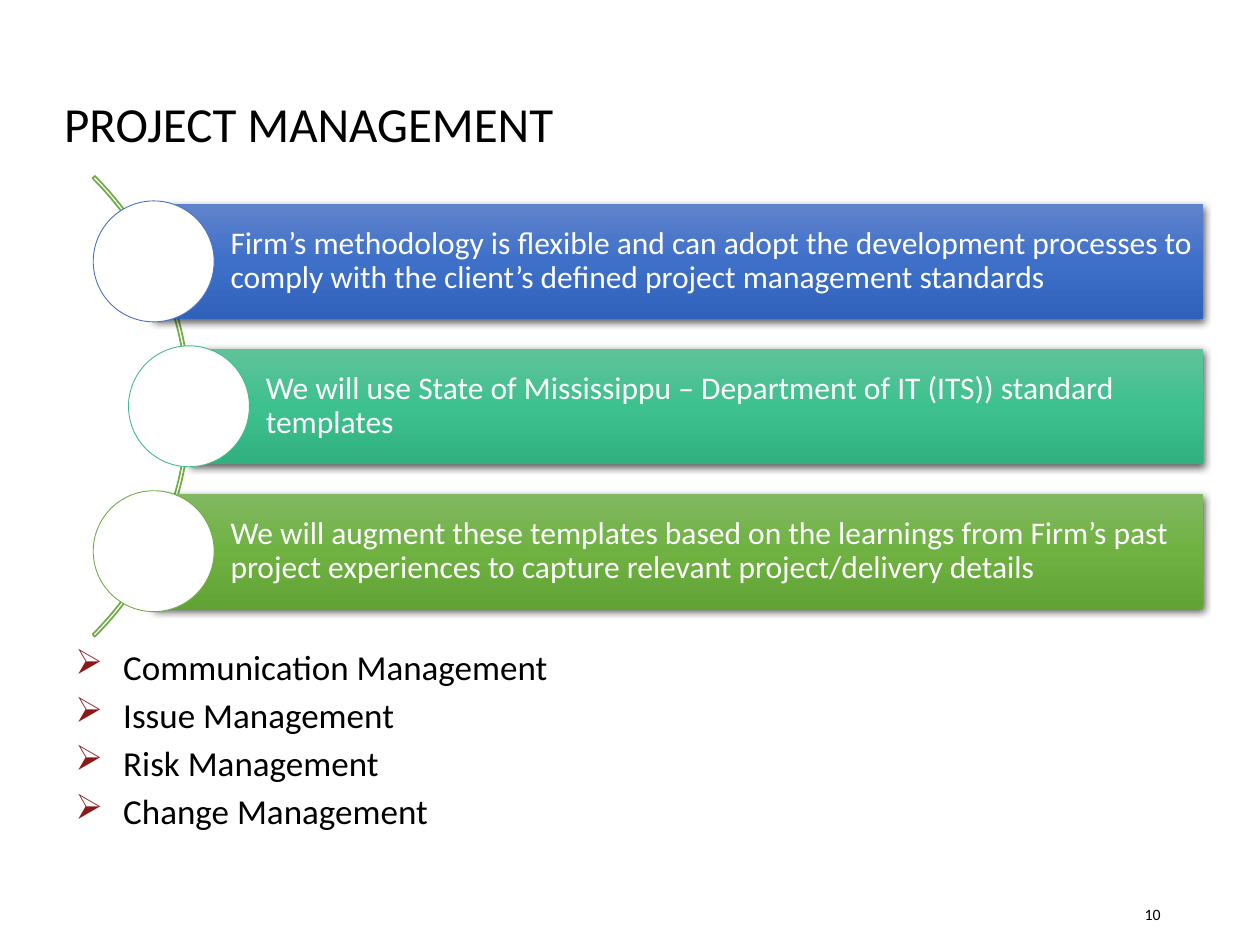
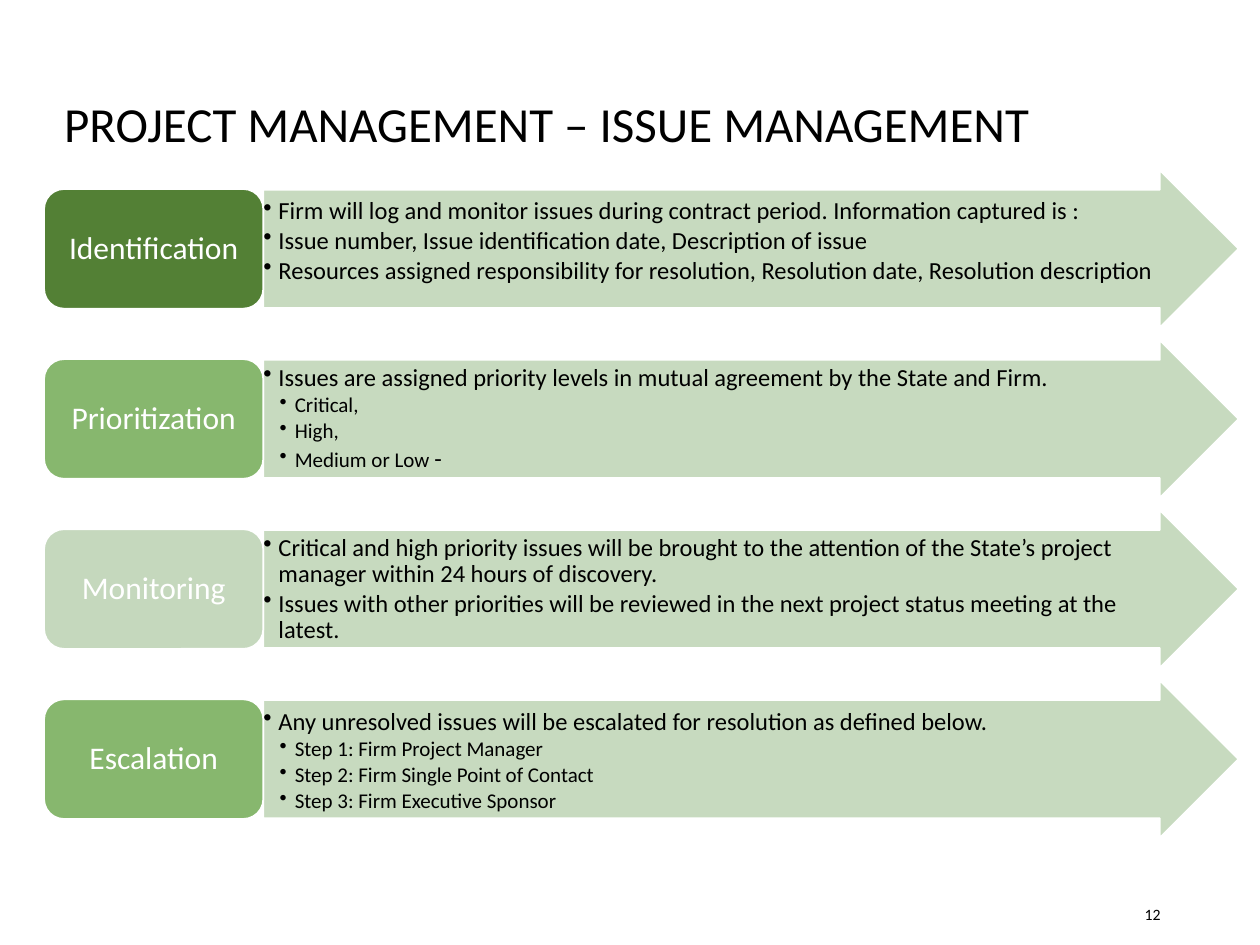
from copy import deepcopy
from dataclasses import dataclass

from lxml.etree import SubElement
from pptx import Presentation
from pptx.dml.color import RGBColor
from pptx.enum.shapes import MSO_SHAPE
from pptx.enum.text import MSO_ANCHOR, MSO_AUTO_SIZE, PP_ALIGN
from pptx.oxml.ns import qn
from pptx.util import Inches, Pt

# Content

OVERVIEW = {
    "title": "PROJECT MANAGEMENT",
    "page": "10",
    # text, gradient from top to bottom, circle outline, indent
    "banners": [
        ("Firm’s methodology is flexible and can adopt the development processes to "
         "comply with the client’s defined project management standards",
         ("6183CB", "3E70CA", "3062BB"), "4472C4", 0),
        ("We will use State of Mississippu – Department of IT (ITS)) standard templates",
         ("60C39A", "3DC18F", "31B080"), "43BB8D", 0.28),
        ("We will augment these templates based on the learnings from Firm’s past "
         "project experiences to capture relevant project/delivery details",
         ("81B861", "6FB242", "62A336"), "70AD47", 0),
    ],
    "areas": ["Communication Management", "Issue Management",
              "Risk Management", "Change Management"],
}

ISSUES = {
    "title": "PROJECT MANAGEMENT – ISSUE MANAGEMENT",
    "page": "12",
    # stage, box colour, top inset, main points, sub-points, larger ending
    "stages": [
        ("Identification", "538035", 0.07,
         ["Firm will log and monitor issues during contract period. Information captured is :",
          "Issue number, Issue identification date, Description of issue",
          "Resources assigned responsibility for resolution, Resolution date, "
          "Resolution description"], [], ""),
        ("Prioritization", "87B76E", 0.04,
         ["Issues are assigned priority levels in mutual agreement by the State and Firm."],
         ["Critical,", "High,", "Medium or Low "], "-"),
        ("Monitoring", "C5D8BD", 0.04,
         ["Critical and high priority issues will be brought to the attention of the "
          "State’s project manager within 24 hours of discovery.",
          "Issues with other priorities will be reviewed in the next project status "
          "meeting at the latest."], [], ""),
        ("Escalation", "87B76E", 0.07,
         ["Any unresolved issues will be escalated for resolution as defined below."],
         ["Step 1: Firm Project Manager", "Step 2: Firm Single Point of Contact",
          "Step 3: Firm Executive Sponsor"], ""),
    ],
}


@dataclass(frozen=True)
class Theme:
    font: str = "Calibri"
    ink: str = "000000"
    paper: str = "FFFFFF"
    marker: str = "8C1919"
    arc: str = "70AD47"
    arrow: str = "C2D7B9"
    title: float = 28
    area: float = 20
    label: float = 18
    point: float = 14
    subpoint: float = 12
    page: float = 9


THEME = Theme()


def rgb(code):
    return RGBColor.from_string(code)


def format_frame(frame, insets=None, anchor=MSO_ANCHOR.MIDDLE):
    settings = {"word_wrap": True, "auto_size": MSO_AUTO_SIZE.NONE,
                "vertical_anchor": anchor}
    if insets:
        sides = ("margin_left", "margin_top", "margin_right", "margin_bottom")
        settings.update(zip(sides, map(Inches, insets)))
    for name, value in settings.items():
        setattr(frame, name, value)


def add_run(paragraph, text, size, color=THEME.ink):
    run = paragraph.add_run()
    run.text = text
    for name, value in {"name": THEME.font, "size": Pt(size), "bold": False}.items():
        setattr(run.font, name, value)
    run.font.color.rgb = rgb(color)


def write(frame, lines, size, color=THEME.ink, **paragraph_format):
    """Append lines to a frame, starting in its first paragraph if that is empty."""
    added = []
    for line in lines:
        first = frame.paragraphs[0]
        paragraph = frame.add_paragraph() if first.runs else first
        for name, value in paragraph_format.items():
            setattr(paragraph, name, value)
        add_run(paragraph, line, size, color)
        added.append(paragraph)
    return added


def add_bullets(paragraphs, symbol, left, hang, color=THEME.ink):
    for paragraph in paragraphs:
        props = paragraph._p.get_or_add_pPr()
        props.set("marL", str(Inches(left)))
        props.set("indent", str(-Inches(hang)))
        SubElement(SubElement(props, qn("a:buClr")), qn("a:srgbClr"), val=color)
        SubElement(props, qn("a:buChar"), char=symbol)


def add_preset(slide, preset, box, fill=None, line=None, width=1, adjustments=()):
    shape = slide.shapes.add_shape(preset, *map(Inches, box))
    shape.shadow.inherit = False
    for index, value in enumerate(adjustments):
        shape.adjustments[index] = value
    if fill:
        shape.fill.solid()
        shape.fill.fore_color.rgb = rgb(fill)
    else:
        shape.fill.background()
    if line:
        shape.line.color.rgb = rgb(line)
        shape.line.width = Pt(width)
    else:
        shape.line.fill.background()
    return shape


def fill_gradient(shape, colors):
    shape.fill.gradient()
    shape.fill.gradient_angle = 270
    stops = shape._element.spPr.find(".//" + qn("a:gsLst"))
    stops.append(deepcopy(stops[0]))
    for index, (stop, color) in enumerate(zip(shape.fill.gradient_stops, colors)):
        stop.position = index / (len(colors) - 1)
        stop.color.rgb = rgb(color)


def drop_shadow(shape):
    effects = shape._element.spPr.find(qn("a:effectLst"))
    shadow = SubElement(effects, qn("a:outerShdw"), blurRad=str(Pt(4.5)),
                        dist=str(Pt(1.5)), dir="5400000", algn="ctr", rotWithShape="0")
    color = SubElement(shadow, qn("a:srgbClr"), val=THEME.ink)
    SubElement(color, qn("a:alpha"), val="63000")


def add_textbox(slide, box, anchor):
    frame = slide.shapes.add_textbox(*map(Inches, box)).text_frame
    format_frame(frame, anchor=anchor)
    return frame


def start_slide(deck, content):
    """Add a title-only slide with its title and page number."""
    slide = deck.slides.add_slide(deck.slide_layouts[5])
    title = slide.shapes.title
    title.left, title.top, title.width, title.height = map(Inches, (0.41, 0.68, 8.71, 0.65))
    format_frame(title.text_frame, (0.1, 0.05, 0.1, 0.05))
    write(title.text_frame, [content["title"]], THEME.title,
          alignment=PP_ALIGN.LEFT, line_spacing=0.9)
    page = add_textbox(slide, (7.06, 7.06, 2.25, 0.4), MSO_ANCHOR.MIDDLE)
    write(page, [content["page"]], THEME.page, alignment=PP_ALIGN.RIGHT)
    return slide


def build_overview(deck):
    slide = start_slide(deck, OVERVIEW)
    areas = add_textbox(slide, (0.5, 5.07, 8.96, 1.67), MSO_ANCHOR.TOP)
    add_bullets(write(areas, OVERVIEW["areas"], THEME.area, space_before=Pt(3.6)),
                "➢", 0.38, 0.38, THEME.marker)

    add_preset(slide, MSO_SHAPE.BLOCK_ARC, (-3.66, 0.64, 5.17, 5.17),
               line=THEME.arc, adjustments=(189, 27, 0.005))

    first_top, pitch, height, right, diameter = 1.62, 1.15, 0.91, 9.55, 0.96
    for row, (text, gradient, outline, indent) in enumerate(OVERVIEW["banners"]):
        left, top = 1.22 + indent, first_top + row * pitch
        banner = add_preset(slide, MSO_SHAPE.RECTANGLE, (left, top, right - left, height))
        fill_gradient(banner, gradient)
        drop_shadow(banner)
        format_frame(banner.text_frame, (0.61, 0.05, 0.05, 0.05))
        write(banner.text_frame, [text], THEME.label, THEME.paper,
              alignment=PP_ALIGN.LEFT, line_spacing=0.9)
        add_preset(slide, MSO_SHAPE.OVAL,
                   (left - diameter / 2, top + (height - diameter) / 2, diameter, diameter),
                   THEME.paper, outline, 0.5)


def build_issues(deck):
    slide = start_slide(deck, ISSUES)
    first_top, pitch = 1.5, 1.35
    box_left, box_width, box_height = 0.35, 1.74, 0.95
    arrow_width, arrow_height = 7.74, 1.25
    spacing = {"alignment": PP_ALIGN.LEFT, "line_spacing": 0.9, "space_after": Pt(1.8)}

    for row, (stage, color, inset, points, subpoints, ending) in enumerate(ISSUES["stages"]):
        top = first_top + row * pitch
        arrow = add_preset(slide, MSO_SHAPE.RIGHT_ARROW,
                           (box_left + box_width, top + (box_height - arrow_height) / 2,
                            arrow_width, arrow_height),
                           THEME.arrow, THEME.paper, adjustments=(0.75, 0.5))
        fill_color = arrow._element.spPr.find(qn("a:solidFill"))[0]
        SubElement(fill_color, qn("a:alpha"), val="90000")

        details = arrow.text_frame
        format_frame(details, (0, inset, 0, 0), MSO_ANCHOR.TOP)
        add_bullets(write(details, points, THEME.point, **spacing), "•", 0.12, 0.12)
        add_bullets(write(details, subpoints, THEME.subpoint, **spacing), "•", 0.25, 0.12)
        if ending:
            add_run(details.paragraphs[-1], ending, THEME.point)

        box = add_preset(slide, MSO_SHAPE.ROUNDED_RECTANGLE,
                         (box_left, top, box_width, box_height), color, THEME.paper)
        format_frame(box.text_frame, (0.12, 0.08, 0.12, 0.08))
        write(box.text_frame, [stage], THEME.label, THEME.paper,
              alignment=PP_ALIGN.CENTER, line_spacing=0.9)


def main():
    deck = Presentation()
    deck.slide_width, deck.slide_height = Inches(10), Inches(7.5)
    build_overview(deck)
    build_issues(deck)
    deck.save("out.pptx")


if __name__ == "__main__":
    main()
